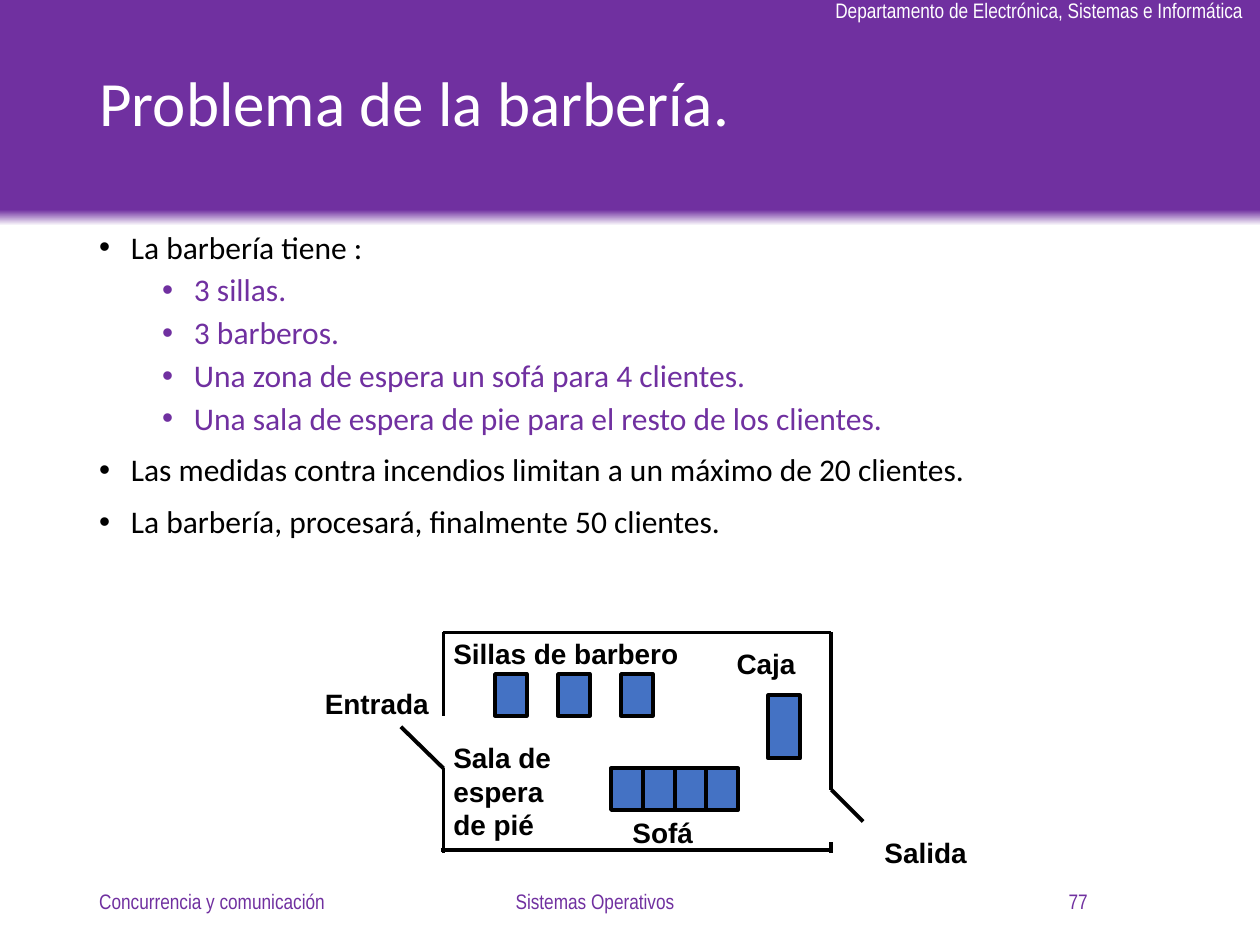
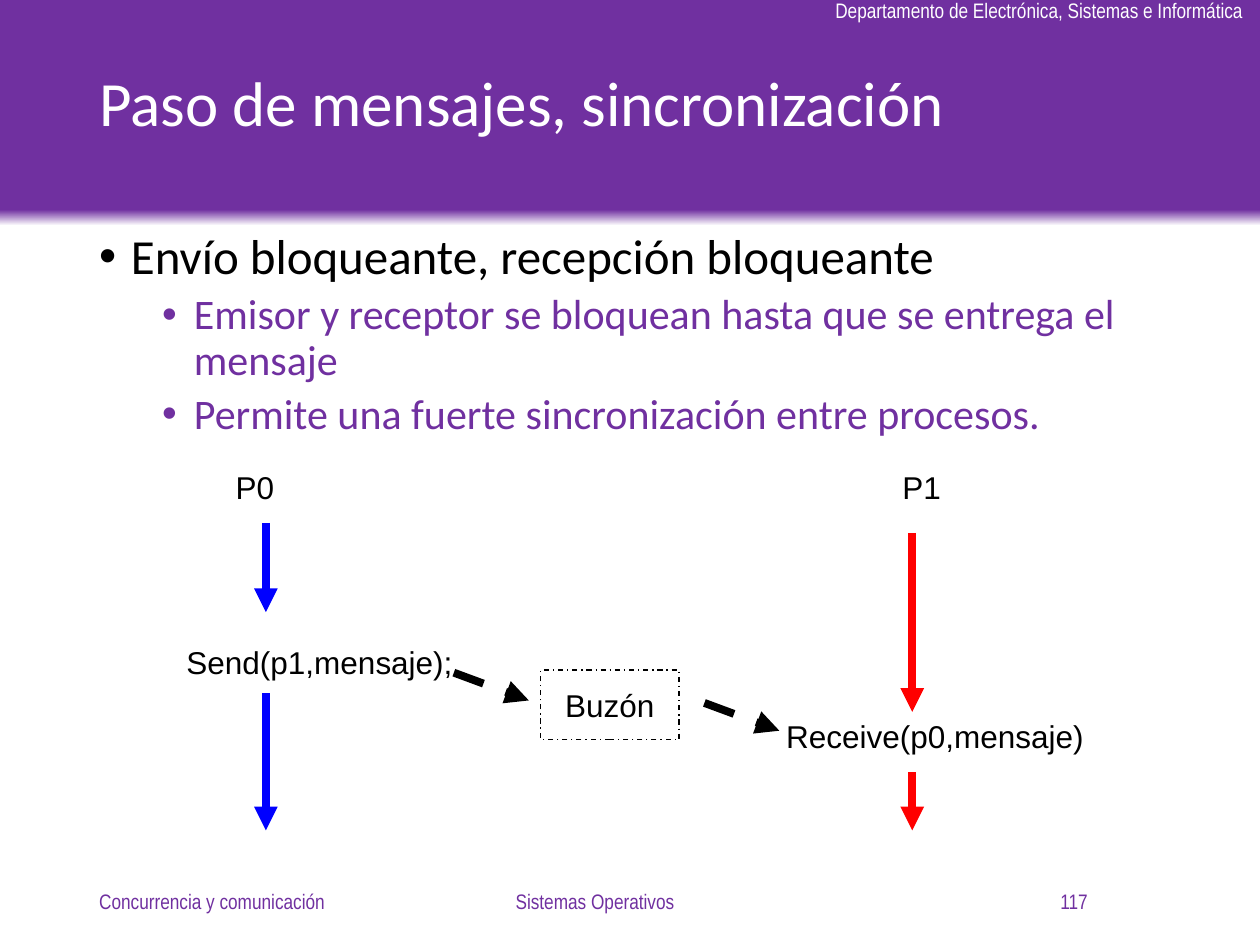
from copy import deepcopy

from lxml.etree import SubElement
from pptx import Presentation
from pptx.dml.color import RGBColor
from pptx.enum.dml import MSO_LINE
from pptx.enum.shapes import MSO_CONNECTOR, MSO_SHAPE
from pptx.enum.text import MSO_ANCHOR, MSO_AUTO_SIZE, PP_ALIGN
from pptx.oxml.ns import qn
from pptx.util import Cm, Pt

PURPLE = RGBColor(0x70, 0x30, 0xA0)
WHITE = RGBColor(0xFF, 0xFF, 0xFF)
BLACK = RGBColor(0, 0, 0)
STEEL = RGBColor(0x44, 0x72, 0xC4)
BLUE = RGBColor(0, 0, 0xFF)
RED = RGBColor(0xFF, 0, 0)

BAND = (0, 0, 25.4, 4.55)
TITLE = (1.75, 0.38, 21.9, 3.53)
BODY = (1.75, 4.55, 21.9, 12.62)
FOOT = (1.75, 17.65, 20.43, 1.02)
ROOM = (8.94, 12.75, 7.82, 4.39)
FLOW = (3.51, 9.32, 18.59, 7.42)


def lengths(box):
    return [Cm(n) for n in box]


def shift(box, x, y, w, h):
    return box[0] + x, box[1] + y, w, h


def write(frame, text, size=18, font="Arial", color=BLACK, bold=False,
          align=PP_ALIGN.LEFT, anchor=MSO_ANCHOR.TOP, wrap=False, space=None):
    frame.word_wrap = wrap
    frame.auto_size = MSO_AUTO_SIZE.NONE
    frame.vertical_anchor = anchor
    for i, line in enumerate(text.split("\n")):
        para = frame.paragraphs[0] if i == 0 else frame.add_paragraph()
        para.text = line
        para.alignment = align
        para.line_spacing = space
        para.font.size = Pt(size)
        para.font.name = font
        para.font.bold = bold
        para.font.color.rgb = color


def label(slide, box, text, **style):
    write(slide.shapes.add_textbox(*lengths(box)).text_frame, text, **style)


def block(slide, box, fill=None, line=None, width=2.25):
    shape = slide.shapes.add_shape(MSO_SHAPE.RECTANGLE, *lengths(box))
    shape.shadow.inherit = False
    if fill is None:
        shape.fill.background()
    else:
        shape.fill.solid()
        shape.fill.fore_color.rgb = fill
    if line is None:
        shape.line.fill.background()
    else:
        shape.line.color.rgb = line
        shape.line.width = Pt(width)
    return shape


def stroke(slide, box, ends, color=BLACK, width=2.25, dash=None, arrow=False):
    x, y = box[:2]
    x1, y1, x2, y2 = ends
    line = slide.shapes.add_connector(
        MSO_CONNECTOR.STRAIGHT, *lengths((x + x1, y + y1, x + x2, y + y2)))
    line.line.color.rgb = color
    line.line.width = Pt(width)
    if dash:
        line.line.dash_style = dash
    props = line._element.spPr
    if arrow:
        SubElement(props.find(qn("a:ln")), qn("a:tailEnd"), type="triangle")
    SubElement(props, qn("a:effectLst"))


def head(slide, title):
    band = block(slide, BAND)
    band.fill.gradient()
    band.fill.gradient_angle = 90
    for stop, color, place in zip(band.fill.gradient_stops, (WHITE, PURPLE), (0, 0.07)):
        stop.color.rgb = color
        stop.position = place
    stops = band._element.spPr.find(".//" + qn("a:gsLst"))
    last = deepcopy(stops[-1])
    last.set("pos", "100000")
    stops.append(last)
    slide.shapes._spTree.insert(2, band._element)
    label(slide, shift(BAND, 16.59, -0.18, 8.81, 0.76),
          "Departamento de Electrónica, Sistemas e Informática",
          size=12, font="Arial Narrow", color=WHITE)
    name = slide.shapes.title
    name.left, name.top, name.width, name.height = lengths(TITLE)
    write(name.text_frame, title, size=36, font="Calibri", color=WHITE,
          anchor=MSO_ANCHOR.MIDDLE, wrap=True, space=0.9)


def foot(slide, page):
    parts = ((0, 5.72, "Concurrencia y comunicación", PP_ALIGN.LEFT),
             (5.95, 8.59, "Sistemas Operativos", PP_ALIGN.CENTER),
             (14.71, 5.72, page, PP_ALIGN.RIGHT))
    for x, w, text, align in parts:
        label(slide, shift(FOOT, x, 0, w, FOOT[3]), text, size=12, font="Arial Narrow",
              color=PURPLE, align=align, anchor=MSO_ANCHOR.MIDDLE, wrap=True)


def points(slide, box, items, sizes):
    frame = slide.shapes.add_textbox(*lengths(box)).text_frame
    write(frame, "\n".join(text for level, text in items),
          font="Calibri", wrap=True, space=0.9)
    for i, (para, (level, text)) in enumerate(zip(frame.paragraphs, items)):
        para.level = level
        para.space_before = Pt((10, 5)[level] if i else 0)
        para.font.size = Pt(sizes[level])
        para.font.color.rgb = (BLACK, PURPLE)[level]
        props = para._p.get_or_add_pPr()
        props.set("marL", str(Cm((0.64, 1.91)[level])))
        props.set("indent", str(-Cm(0.64)))
        mark = SubElement(props, qn("a:buFont"), typeface="Arial")
        sign = SubElement(props, qn("a:buChar"), char="•")
        props.find(qn("a:defRPr")).addprevious(mark)
        mark.addnext(sign)


def room(slide, box):
    w, h = box[2:]
    walls = ((0, 0, w, 0), (-0.05, h, w - 0.05, h),
             (0, 0, 0, 1.68), (0, h + 0.06, 0, 2.74), (0, 2.74, -0.86, 1.9),
             (w, 0, w, 3.17), (w, h + 0.06, w, 4.22), (w, 3.17, w + 0.64, 3.81))
    for wall in walls:
        stroke(slide, box, wall)
    chairs = [(1.04 + 1.27 * i, 0.84, 0.64, 0.84) for i in range(3)]
    seats = [(3.38 + 0.64 * i, 2.74, 0.64, 0.84) for i in range(4)]
    till = (6.55, 1.27, 0.64, 1.27)
    for part in (*chairs, *seats, till):
        block(slide, shift(box, *part), STEEL, BLACK)
    names = (("Sofá", 3.56, 3.56, 1.73, 0.94),
             ("Caja", 5.66, 0.15, 1.7, 0.94),
             ("Sillas de barbero", -0.05, -0.05, 5.05, 0.94),
             ("Entrada", -2.64, 0.97, 2.62, 0.94),
             ("Salida", 8.64, 3.96, 2.18, 0.94),
             ("Sala de\nespera\nde pié", -0.05, 2.06, 2.49, 2.29))
    for text, *place in names:
        label(slide, shift(box, *place), text, size=16, bold=True)


def flow(slide, box):
    names = (("P0", 0.99, 0, 1.3), ("P1", 14.43, 0, 1.3),
             ("Send(p1,mensaje);", 0, 3.51, 5.87),
             ("Receive(p0,mensaje)", 12.09, 5, 6.5))
    for text, x, y, w in names:
        label(slide, shift(box, x, y, w, 1.02), text)
    end = box[3]
    steps = ((1.85, 1.22, 3.02, BLUE), (1.85, 4.65, end, BLUE),
             (14.88, 1.42, 5.03, RED), (14.88, 6.25, end, RED))
    for x, top, low, color in steps:
        stroke(slide, box, (x, top, x, low), color, 4.5, arrow=True)
    for x, y in ((5.64, 4.24), (10.69, 4.85)):
        stroke(slide, box, (x, y, x + 1.51, y + 0.56), width=4.5,
               dash=MSO_LINE.DASH, arrow=True)
    mail = block(slide, shift(box, 7.39, 4.19, 2.79, 1.4), line=BLACK, width=0.75)
    mail.line.dash_style = MSO_LINE.DASH_DOT
    write(mail.text_frame, "Buzón", align=PP_ALIGN.CENTER, anchor=MSO_ANCHOR.MIDDLE)


def page(deck, title, items, sizes, draw, box, number):
    slide = deck.slides.add_slide(deck.slide_layouts[5])
    head(slide, title)
    points(slide, BODY, items, sizes)
    foot(slide, number)
    draw(slide, box)


def main():
    deck = Presentation()
    deck.slide_width, deck.slide_height = Cm(25.4), Cm(19.05)
    page(deck, "Problema de la barbería.", (
        (0, "La barbería tiene :"),
        (1, "3 sillas."),
        (1, "3 barberos."),
        (1, "Una zona de espera un sofá para 4 clientes."),
        (1, "Una sala de espera de pie para el resto de los clientes."),
        (0, "Las medidas contra incendios limitan a un máximo de 20 clientes."),
        (0, "La barbería, procesará, finalmente 50 clientes."),
    ), (18, 18), room, ROOM, "77")
    page(deck, "Paso de mensajes, sincronización", (
        (0, "Envío bloqueante, recepción bloqueante"),
        (1, "Emisor y receptor se bloquean hasta que se entrega el mensaje"),
        (1, "Permite una fuerte sincronización entre procesos."),
    ), (28, 24), flow, FLOW, "117")
    deck.save("out.pptx")


if __name__ == "__main__":
    main()
